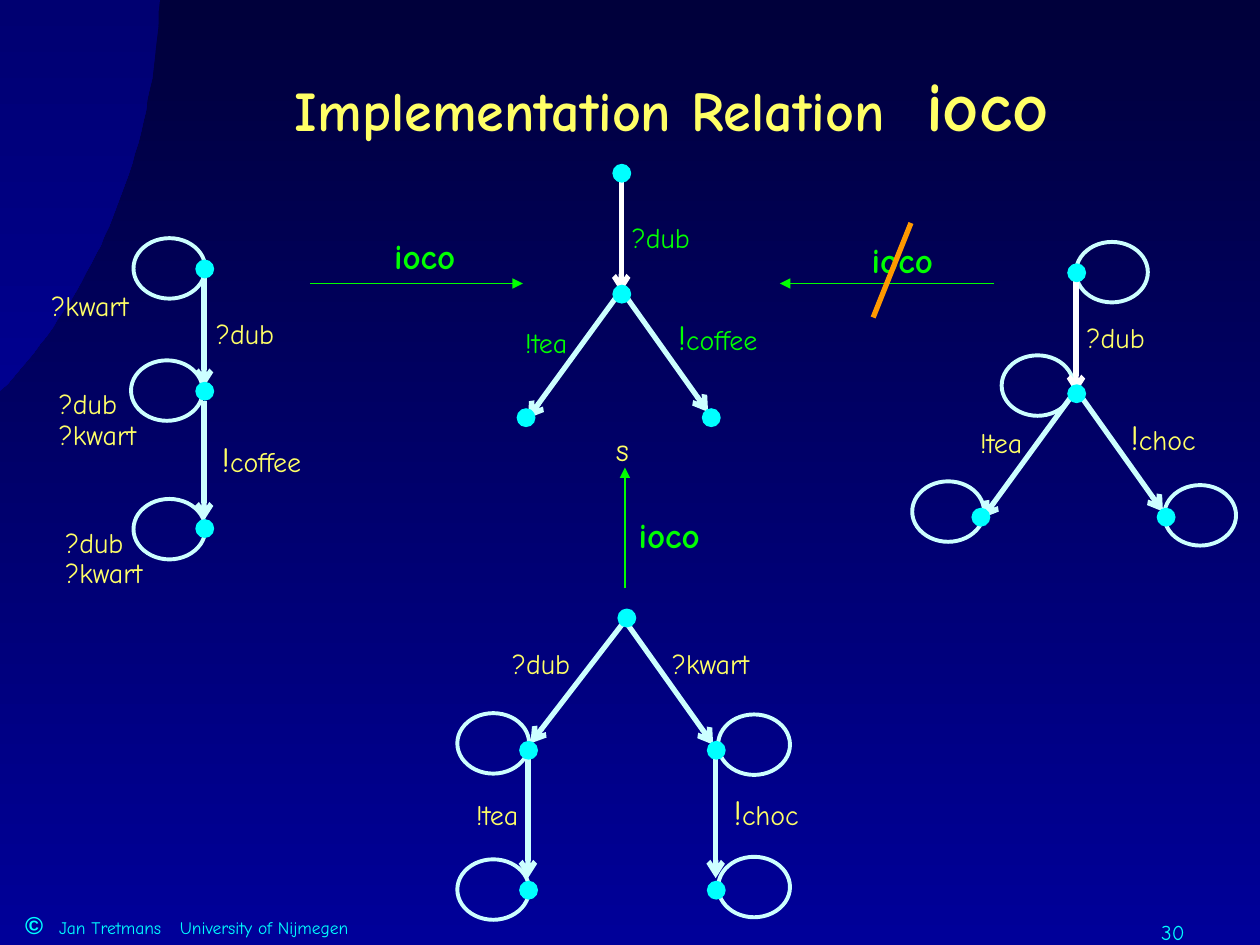
from math import asin, cos, pi, sin

from lxml.etree import SubElement
from pptx import Presentation
from pptx.dml.color import RGBColor
from pptx.enum.shapes import MSO_CONNECTOR as Connector, MSO_SHAPE as Shape
from pptx.enum.text import MSO_ANCHOR as Anchor, MSO_AUTO_SIZE as AutoSize, PP_ALIGN as Align
from pptx.oxml.ns import qn
from pptx.util import Emu, Pt

PX = 9144  # 100 px to the inch
FONT = "Comic Neue"
COLORS = {
    "sky_top": "00003B", "sky_bottom": "000099",
    "disc_top": "000071", "disc_bottom": "00008F",
    "yellow": "FFFF66", "green": "00FF00", "cyan": "00FFFF",
    "pale": "CCFFFF", "white": "FFFFFF", "orange": "FF9900",
}

# Each system: loops (left, top), edges (from, to, colour), states (left, top),
# labels (text, left, top, width, height), loop labels (same)
SPECIFICATION = {
    "color": "green",
    "loops": [],
    "edges": [(493, 137, 493, 232, "white"), (493, 230, 562, 327, "pale"),
              (489, 236, 419, 332, "pale")],
    "states": [(486, 130), (486, 226), (557, 324), (410, 324)],
    "labels": [("?dub", 478, 165, 93, 42), ("!tea", 402, 248, 63, 42),
               ("!coffee", 523, 239, 93, 50)],
    "loop_labels": [],
}
COFFEE_MACHINE = {
    "color": "yellow",
    "loops": [(106, 189), (104, 286), (106, 396)],
    "edges": [(162, 212, 162, 307, "pale"), (162, 318, 162, 413, "pale")],
    "states": [(155, 206), (155, 303), (155, 412)],
    "labels": [("?dub", 148, 241, 93, 42), ("!coffee", 161, 336, 93, 50)],
    "loop_labels": [("?kwart", 31, 227, 100, 34), ("?dub\v?kwart", 37, 305, 100, 58),
                    ("?dub\v?kwart", 42, 415, 100, 58)],
}
CHOC_MACHINE = {
    "color": "yellow",
    "loops": [(854, 192), (795, 282), (724, 382), (924, 385)],
    "edges": [(854, 217, 854, 312, "white"), (854, 309, 923, 406, "pale"),
              (850, 315, 780, 411, "pale")],
    "states": [(847, 209), (847, 305), (918, 403), (771, 403)],
    "labels": [("?dub", 839, 244, 93, 42), ("!tea", 763, 327, 63, 42),
               ("!choc", 875, 318, 96, 50)],
    "loop_labels": [],
}
TWO_COIN_MACHINE = {
    "color": "yellow",
    "loops": [(363, 566), (363, 682), (570, 567), (570, 680)],
    "edges": [(498, 490, 421, 590, "pale"), (497, 494, 566, 591, "pale"),
              (419, 602, 419, 697, "pale"), (568, 602, 568, 697, "pale")],
    "states": [(490, 483), (412, 588), (561, 588), (412, 699), (561, 699)],
    "labels": [("?dub", 383, 503, 93, 42), ("?kwart", 518, 503, 92, 42),
               ("!tea", 359, 623, 71, 42), ("!choc", 564, 616, 88, 50)],
    "loop_labels": [],
}
# Relation arrow (from, to) and the place of its label
RELATIONS = [((246, 225, 415, 225), (303, 181)),
             ((789, 225, 619, 225), (682, 184)),
             ((496, 467, 496, 371), (497, 403))]


def px(*lengths):
    return [Emu(length * PX) for length in lengths]


def rgb(name):
    return RGBColor.from_string(COLORS[name])


def fill_gradient(fill, top, bottom):
    fill.gradient()
    fill.gradient_angle = 270
    for stop, name in zip(fill.gradient_stops, (top, bottom)):
        stop.color.rgb = rgb(name)


def style_span(span, size, color, bold=False, font=FONT):
    span.font.size, span.font.bold, span.font.name = Pt(size), bold, font
    span.font.color.rgb = rgb(color)


def add_spans(para, spans):
    """Add (text, size, colour, bold, font) spans; the last two may be left out."""
    for text, *style in spans:
        span = para.add_run()
        span.text = text
        style_span(span, *style)


def add_text(page, place, text, size, color, align=Align.LEFT, spacing=None,
             anchor=Anchor.TOP, wrap=True, bold=False):
    box = page.shapes.add_textbox(*px(*place))
    frame = box.text_frame
    frame.word_wrap, frame.vertical_anchor = wrap, anchor
    para = frame.paragraphs[0]
    para.text = text
    para.alignment, para.line_spacing = align, spacing
    for span in para.runs:
        style_span(span, size, color, bold)
    return para


def add_line(page, ends, color, width, head=None):
    line = page.shapes.add_connector(Connector.STRAIGHT, *px(*ends))
    line.line.color.rgb, line.line.width = rgb(color), Pt(width)
    if head:
        SubElement(line.line._get_or_add_ln(), qn("a:tailEnd"), type=head)
    SubElement(line._element.spPr, qn("a:effectLst"))


def add_loop(page, left, top):
    loop = page.shapes.add_shape(Shape.OVAL, *px(left, top, 57, 48))
    loop.shadow.inherit = False
    loop.fill.background()
    loop.line.color.rgb, loop.line.width = rgb("pale"), Pt(2.25)


def add_state(page, left, top):
    state = page.shapes.add_shape(Shape.FLOWCHART_CONNECTOR, *px(left, top, 15, 15))
    state.shadow.inherit = False
    state.fill.solid()
    state.fill.fore_color.rgb = rgb("cyan")
    state.line.fill.background()


def add_label(page, text, *place, color):
    enlarged = text in ("!coffee", "!choc")
    para = add_text(page, place, "" if enlarged else text, 16, color, Align.CENTER,
                    1.2, Anchor.MIDDLE, wrap=not enlarged)
    if enlarged:
        add_spans(para, [(text[0], 20, color), (text[1:], 16, color)])


def add_system(page, system):
    for loop in system["loops"]:
        add_loop(page, *loop)
    for *ends, color in system["edges"]:
        add_line(page, ends, color, 3, "arrow")
    for state in system["states"]:
        add_state(page, *state)
    for label in system["labels"]:
        add_label(page, *label, color=system["color"])
    for text, *place in system["loop_labels"]:
        add_text(page, place, text, 16, system["color"], spacing=0.9, anchor=Anchor.MIDDLE)


def add_corner_disc(page, steps=40):
    """Draw the part of a large ellipse that reaches into the top left corner."""
    center_x, center_y, radius_x, radius_y = -234, -20, 361, 434
    start = asin(-center_y / radius_y)
    end = pi / 2 - asin(-center_x / radius_x)
    angles = [start + (end - start) * step / steps for step in range(steps + 1)]
    curve = [px(max(0, round(center_x + radius_x * cos(angle))),
                max(0, round(center_y + radius_y * sin(angle)))) for angle in angles]
    builder = page.shapes.build_freeform(0, 0)
    builder.add_line_segments(curve, close=True)
    disc = builder.convert_to_shape()
    disc.shadow.inherit = False
    fill_gradient(disc.fill, "disc_top", "disc_bottom")
    disc.line.fill.background()


def set_title(page):
    title = page.shapes.title
    title.left, title.top, title.width, title.height = px(108, 20, 850, 125)
    frame = title.text_frame
    frame.auto_size, frame.vertical_anchor = AutoSize.NONE, Anchor.MIDDLE
    para = frame.paragraphs[0]
    para.alignment = Align.CENTER
    add_spans(para, [("Implementation Relation", 32, "yellow", True),
                     (" ", 32, "yellow", True), ("ioco", 40, "yellow", True)])
    para.runs[1].font._element.set("spc", "1200")  # widens the gap before ioco


def add_footer(page):
    para = add_text(page, (10, 717, 311, 33), "", 10, "cyan")
    tabs = SubElement(para._p.get_or_add_pPr(), qn("a:tabLst"))
    for position in px(27, 123):
        SubElement(tabs, qn("a:tab"), pos=str(position), algn="l")
    add_spans(para, [("©", 14, "cyan", True, "Arial"),
                     ("\tJan Tretmans\tUniversity of Nijmegen", 10, "cyan")])
    add_text(page, (858, 725, 92, 25), "30", 12, "cyan", Align.RIGHT)


def main():
    deck = Presentation()
    deck.slide_width, deck.slide_height = px(1000, 750)
    page = deck.slides.add_slide(deck.slide_layouts[5])

    # Backdrop, title and footer
    fill_gradient(page.background.fill, "sky_top", "sky_bottom")
    add_corner_disc(page)
    set_title(page)
    add_footer(page)

    # Transition systems
    for system in (TWO_COIN_MACHINE, COFFEE_MACHINE, CHOC_MACHINE, SPECIFICATION):
        add_system(page, system)
    add_text(page, (416, 318, 156, 58), "s", 18, "yellow", Align.CENTER, 1.6)

    # Relations to the specification; the right one is struck out
    for ends, corner in RELATIONS:
        add_line(page, ends, "green", 0.75, "triangle")
        add_text(page, (*corner, 80, 44), "ioco", 20, "green", bold=True)
    add_line(page, (723, 177, 693, 252), "orange", 3)

    deck.save("out.pptx")


if __name__ == "__main__":
    main()
